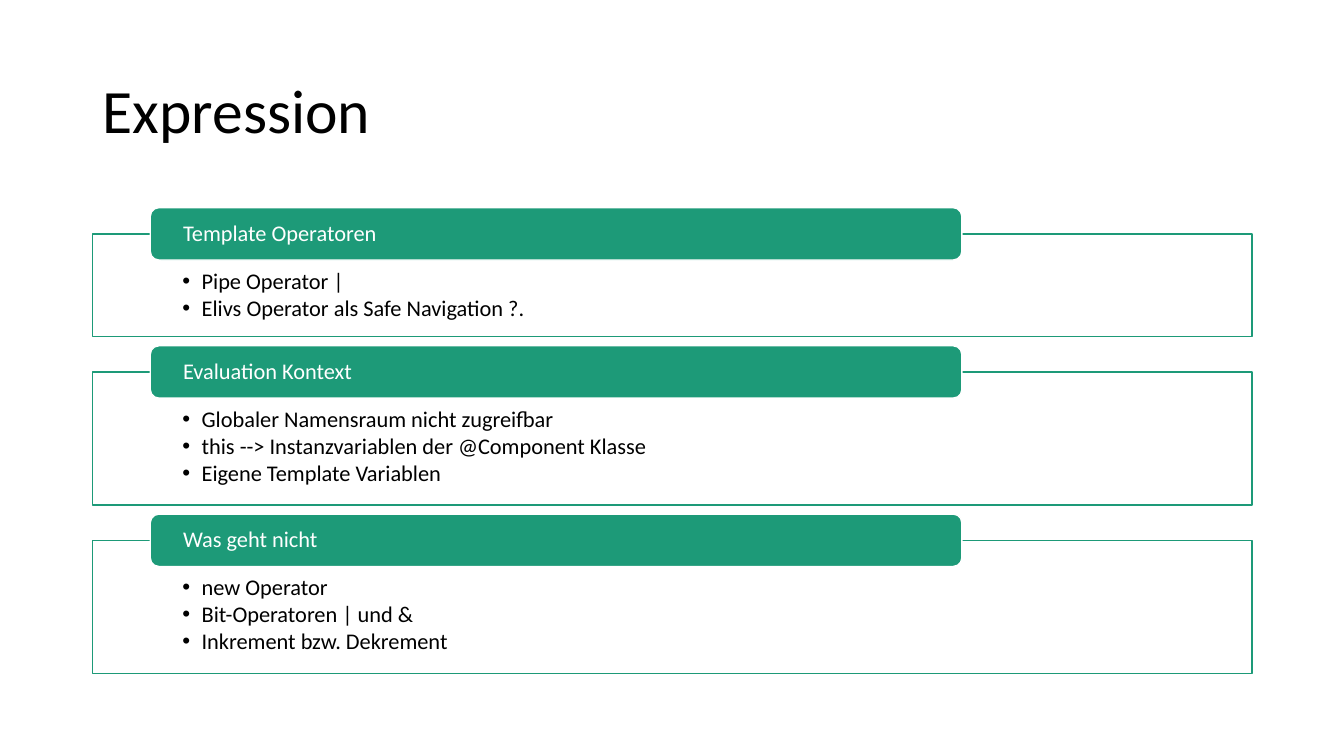
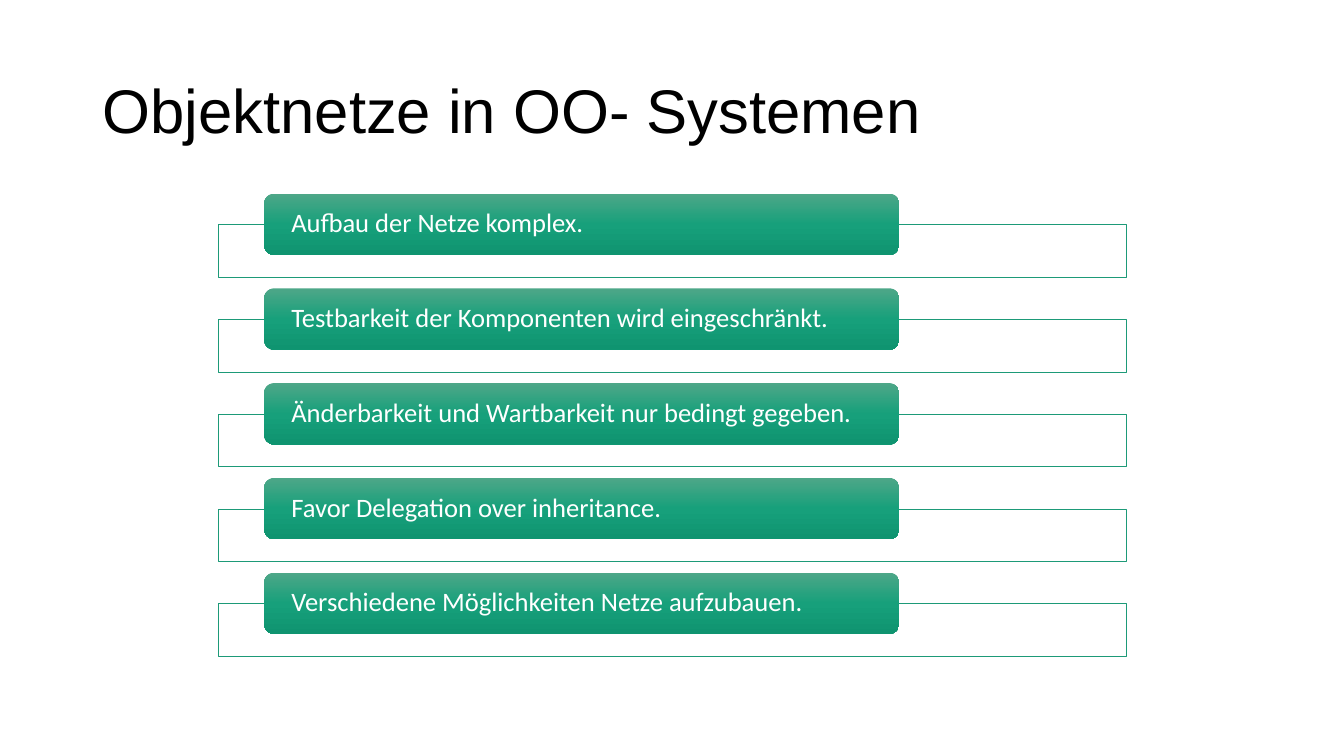
from copy import deepcopy

from lxml.etree import SubElement
from pptx import Presentation
from pptx.dml.color import RGBColor
from pptx.enum.shapes import MSO_SHAPE
from pptx.enum.text import MSO_ANCHOR, PP_ALIGN
from pptx.oxml.ns import qn
from pptx.util import Inches, Pt

COLORS = {
    "text": "000000",
    "white": "FFFFFF",
    "green": "1D9A78",
    "gradient": ["4EA788", "17A07B", "0F9470"],
}


def color(name):
    return RGBColor.from_string(COLORS.get(name, name))


def write(box, lines, size, ink="text", font="Calibri", anchor=MSO_ANCHOR.MIDDLE,
          insets=(0.1, 0.05, 0.1, 0.05), bullet=False, after=0):
    frame = box.text_frame
    frame.word_wrap = True
    frame.vertical_anchor = anchor
    (frame.margin_left, frame.margin_top,
     frame.margin_right, frame.margin_bottom) = map(Inches, insets)
    for index, line in enumerate(lines):
        para = frame.paragraphs[0] if index == 0 else frame.add_paragraph()
        para.alignment = PP_ALIGN.LEFT
        para.line_spacing = 0.9
        para.space_after = Pt(after)
        if bullet:
            properties = para._p.get_or_add_pPr()
            properties.set("marL", str(Inches(0.19)))
            properties.set("indent", str(-Inches(0.19)))
            SubElement(properties, qn("a:buFont")).set("typeface", "Arial")
            SubElement(properties, qn("a:buChar")).set("char", "•")
        span = para.add_run()
        span.text = line
        span.font.name = font
        span.font.size = Pt(size)
        span.font.color.rgb = color(ink)


class Deck:
    def __init__(self):
        self.deck = Presentation()
        self.deck.slide_width = Inches(13.33)
        self.deck.slide_height = Inches(7.5)
        self.page = None

    def add_page(self, title, font="Calibri"):
        self.page = self.deck.slides.add_slide(self.deck.slide_layouts[6])
        box = self.page.shapes.add_textbox(
            Inches(0.92), Inches(0.4), Inches(11.5), Inches(1.45))
        write(box, [title], 44, font=font)

    def shape(self, kind, left, top, width, height, line=None, line_width=1):
        box = self.page.shapes.add_shape(
            kind, Inches(left), Inches(top), Inches(width), Inches(height))
        box.shadow.inherit = False
        if line:
            box.line.color.rgb = color(line)
            box.line.width = Pt(line_width)
        else:
            box.line.fill.background()
        return box

    def frame(self, left, top, width, height, line_width):
        box = self.shape(MSO_SHAPE.RECTANGLE, left, top, width, height,
                         "green", line_width)
        box.fill.solid()
        box.fill.fore_color.rgb = color("white")
        fill = box._element.spPr.find(qn("a:solidFill"))
        SubElement(fill[0], qn("a:alpha")).set("val", "90000")
        return box

    def header(self, text, left, top, width, height, size, inset, gradient):
        box = self.shape(MSO_SHAPE.ROUNDED_RECTANGLE, left, top, width, height,
                         None if gradient else "white")
        if gradient:
            self.fill_gradient(box)
        else:
            box.fill.solid()
            box.fill.fore_color.rgb = color("green")
        write(box, [text], size, ink="white", insets=(inset, 0, inset, 0))

    def fill_gradient(self, box):
        box.fill.gradient()
        box.fill.gradient_angle = 270
        stops = box._element.spPr.find(".//" + qn("a:gsLst"))
        stops.insert(1, deepcopy(stops[0]))
        for index, shade in enumerate(COLORS["gradient"]):
            stop = box.fill.gradient_stops[index]
            stop.color.rgb = color(shade)
            stop.position = index / 2

    def sections(self, sections, left, top, width, gap, height, header_left,
                 header_width, header_height, rise, size, inset,
                 line_width=1, gradient=False):
        for heading, bullets in sections:
            frame_height = height + 0.3 * len(bullets)
            box = self.frame(left, top, width, frame_height, line_width)
            if bullets:
                write(box, bullets, size, anchor=MSO_ANCHOR.TOP, bullet=True,
                      insets=(0.89, 0.36, 0.89, 0.12), after=2)
            self.header(heading, header_left, top - rise, header_width,
                        header_height, size, inset, gradient)
            top += frame_height + gap

    def save(self):
        self.deck.save("out.pptx")


def main():
    deck = Deck()
    deck.add_page("Expression")
    deck.sections(
        [
            ("Template Operatoren",
             ["Pipe Operator |", "Elivs Operator als Safe Navigation ?."]),
            ("Evaluation Kontext",
             ["Globaler Namensraum nicht zugreifbar",
              "this --> Instanzvariablen der @Component Klasse",
              "Eigene Template Variablen"]),
            ("Was geht nicht",
             ["new Operator", "Bit-Operatoren | und &",
              "Inkrement bzw. Dekrement"]),
        ],
        left=0.92, top=2.32, width=11.5, gap=0.35, height=0.42,
        header_left=1.49, header_width=8.05, header_height=0.52, rise=0.26,
        size=16, inset=0.3)

    deck.add_page("Objektnetze in OO- Systemen", font="Arial")
    statements = [
        "Aufbau der Netze komplex.",
        "Testbarkeit der Komponenten wird eingeschränkt.",
        "Änderbarkeit und Wartbarkeit nur bedingt gegeben.",
        "Favor Delegation over inheritance.",
        "Verschiedene Möglichkeiten Netze aufzubauen.",
    ]
    deck.sections(
        [(statement, []) for statement in statements],
        left=2.17, top=2.23, width=9, gap=0.42, height=0.52,
        header_left=2.62, header_width=6.3, header_height=0.61, rise=0.31,
        size=19, inset=0.24, line_width=0.5, gradient=True)
    deck.save()


if __name__ == "__main__":
    main()
